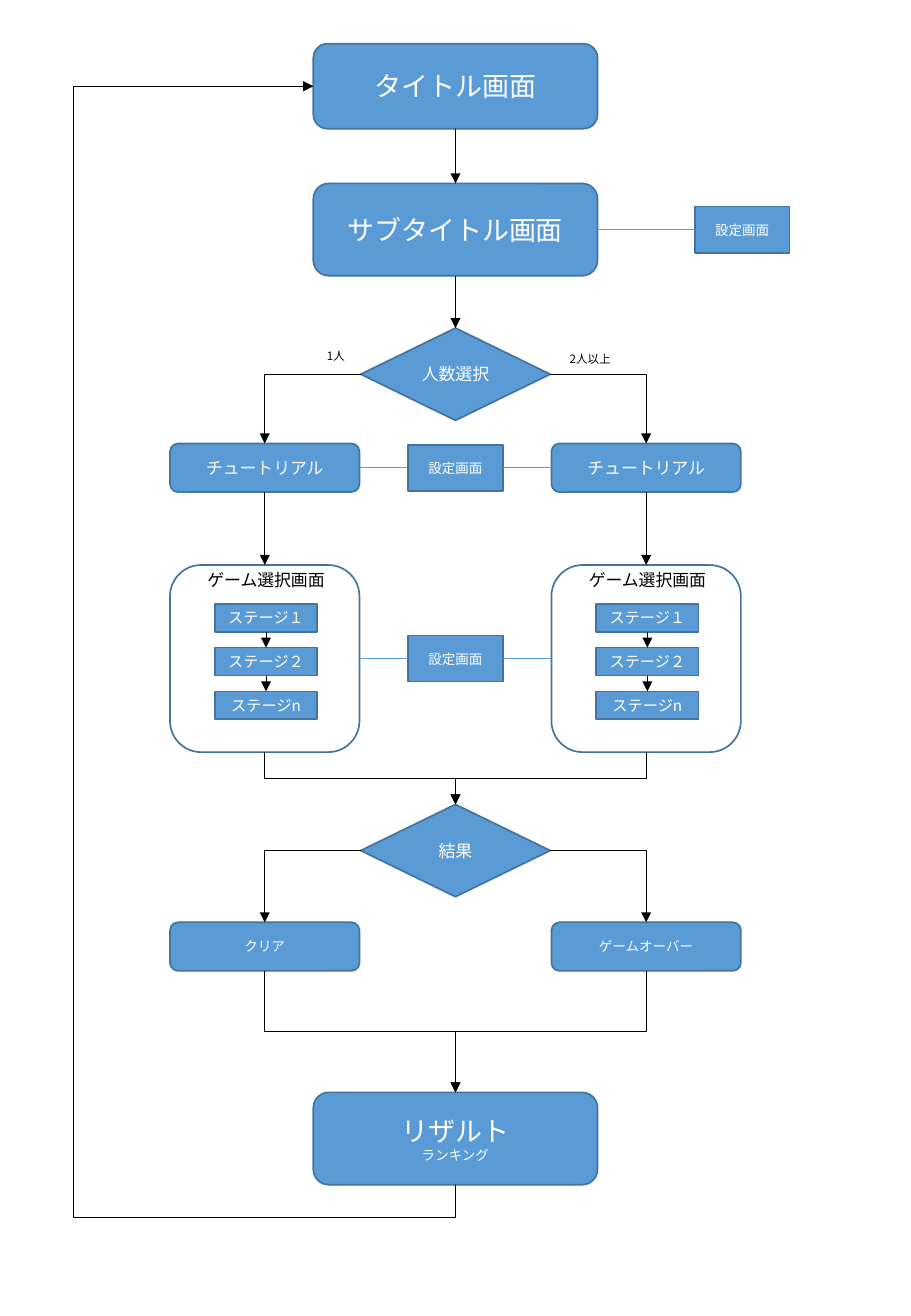
from lxml import etree
from pptx import Presentation
from pptx import util as u
from pptx.dml.color import RGBColor
from pptx.enum import lang, shapes, text
from pptx.oxml import ns

PX = u.Inches(1) // 100
FONT = "Noto Sans CJK JP"
BLUE = RGBColor(0x5B, 0x9B, 0xD5)
OUTLINE = RGBColor(0x43, 0x73, 0x9E)
WHITE = RGBColor(0xFF, 0xFF, 0xFF)
BLACK = RGBColor(0, 0, 0)

RECT = shapes.MSO_SHAPE.RECTANGLE
ROUNDED = shapes.MSO_SHAPE.ROUNDED_RECTANGLE
DECISION = shapes.MSO_SHAPE.FLOWCHART_DECISION
STRAIGHT = shapes.MSO_CONNECTOR.STRAIGHT
ELBOW = shapes.MSO_CONNECTOR.ELBOW
TOP, LEFT, BOTTOM, RIGHT = range(4)

COLUMN_LEFTS = (140, 454)
COLUMN_WIDTH = 156
STAGES = ("ステージ１", "ステージ２", "ステージn")


def px(*lengths):
    return [length * PX for length in lengths]


def write(frame, lines, color):
    """Fill a text frame with centred (wording, size) lines."""
    frame.word_wrap = True
    frame.margin_left = frame.margin_right = 7 * PX
    frame.margin_top = frame.margin_bottom = 4 * PX
    for index, (wording, size) in enumerate(lines):
        paragraph = frame.add_paragraph() if index else frame.paragraphs[0]
        paragraph.alignment = text.PP_ALIGN.CENTER
        run = paragraph.add_run()
        run.text = wording
        run.font.size = u.Pt(size)
        run.font.color.rgb = color
        run.font.name = FONT
        run.font.language_id = lang.MSO_LANGUAGE_ID.JAPANESE
        etree.SubElement(run.font._element, ns.qn("a:ea"), typeface=FONT)


def box(parent, outline, place, *lines, fill=BLUE):
    shape = parent.add_shape(outline, *px(*place))
    shape.shadow.inherit = False
    shape.fill.solid()
    shape.fill.fore_color.rgb = fill
    shape.line.color.rgb = OUTLINE
    shape.line.width = u.Pt(1)
    shape.text_frame.vertical_anchor = text.MSO_ANCHOR.MIDDLE
    write(shape.text_frame, lines, WHITE)
    return shape


def label(parent, place, wording, size):
    frame = parent.add_textbox(*px(*place)).text_frame
    write(frame, [(wording, size)], BLACK)
    frame.auto_size = text.MSO_AUTO_SIZE.SHAPE_TO_FIT_TEXT


def settings(parent, left, top):
    return box(parent, RECT, (left, top, 78, 38), ("設定画面", 8))


def side_middle(shape, side):
    across, down = {TOP: (1, 0), LEFT: (0, 1), BOTTOM: (1, 2), RIGHT: (2, 1)}[side]
    return shape.left + shape.width * across // 2, shape.top + shape.height * down // 2


def link(parent, start, start_side, end, end_side, route=STRAIGHT, color=BLACK):
    """Join two shapes; black links end in an arrowhead."""
    connector = parent.add_connector(
        route, *side_middle(start, start_side), *side_middle(end, end_side))
    connector.begin_connect(start, start_side)
    connector.end_connect(end, end_side)
    connector.line.color.rgb = color
    connector.line.width = u.Pt(0.5)
    if color == BLACK:
        etree.SubElement(connector.line._get_or_add_ln(), ns.qn("a:tailEnd"), type="triangle")
    etree.SubElement(connector._element.spPr, ns.qn("a:effectLst"))
    return connector


def set_bends(connector, preset, *adjustments):
    geometry = connector._element.spPr.find(ns.qn("a:prstGeom"))
    geometry.set("prst", preset)
    guides = geometry.find(ns.qn("a:avLst"))
    for number, share in enumerate(adjustments, 1):
        etree.SubElement(guides, ns.qn("a:gd"), name=f"adj{number}",
                         fmla=f"val {round(share * 100000)}")


def branch(parent, decision, side, target):
    """Arrow that leaves a decision sideways and drops onto its target."""
    set_bends(link(parent, decision, side, target, TOP, ELBOW), "bentConnector2")


def drop(parent, start, end, end_side, preset, *adjustments):
    """Elbow arrow that leaves downwards, so its geometry is turned by 90 degrees."""
    connector = link(parent, start, BOTTOM, end, end_side, ELBOW)
    set_bends(connector, preset, *adjustments)
    across = connector.end_x - connector.begin_x
    down = connector.end_y - connector.begin_y
    middle_x = (connector.begin_x + connector.end_x) // 2
    middle_y = (connector.begin_y + connector.end_y) // 2
    connector.width, connector.height = abs(down), abs(across)
    connector.left = middle_x - abs(down) // 2
    connector.top = middle_y - abs(across) // 2
    xfrm = connector._element.spPr.find(ns.qn("a:xfrm"))
    xfrm.set("rot", str((270 if across > 0 else 90) * 60000))
    xfrm.set("flipH", str(int((across > 0) != (down < 0))))
    xfrm.set("flipV", "0")


def game_panel(parent, left):
    """Group of a frame, its heading and the chain of stages; returns the frame."""
    group = parent.add_group_shape().shapes
    frame = box(group, ROUNDED, (left, 465, COLUMN_WIDTH, 154), fill=WHITE)
    label(group, (left + 1, 465, COLUMN_WIDTH, 27), "ゲーム選択画面", 10)
    stages = [box(group, RECT, (left + 37, 497 + 36 * step, 84, 23), (stage, 9))
              for step, stage in enumerate(STAGES)]
    for upper, lower in zip(stages, stages[1:]):
        link(group, upper, BOTTOM, lower, TOP)
    return frame


def main():
    deck = Presentation()
    deck.slide_width, deck.slide_height = px(750, 1083)
    flow = deck.slides.add_slide(deck.slide_layouts[6]).shapes

    title = box(flow, ROUNDED, (258, 36, 234, 70), ("タイトル画面", 16))
    subtitle = box(flow, ROUNDED, (258, 151, 234, 76), ("サブタイトル画面", 16))
    players = box(flow, DECISION, (297, 270, 156, 76), ("人数選択", 10))
    outcome = box(flow, DECISION, (297, 662, 156, 76), ("結果", 10))
    ranking = box(flow, ROUNDED, (258, 899, 234, 76), ("リザルト", 16), ("ランキング", 8))
    link(flow, title, BOTTOM, subtitle, TOP)
    link(flow, subtitle, BOTTOM, players, TOP)
    link(flow, subtitle, RIGHT, settings(flow, 572, 170), LEFT, color=BLUE)

    label(flow, (254, 283, 45, 21), "1人", 6.8)
    label(flow, (456, 286, 60, 21), "2人以上", 6.8)
    tutorial_settings = settings(flow, 336, 366)
    game_settings = settings(flow, 336, 523)

    columns = zip(COLUMN_LEFTS, (LEFT, RIGHT), (RIGHT, LEFT), ("クリア", "ゲームオーバー"))
    for left, outer, inner, ending_name in columns:
        tutorial = box(flow, ROUNDED, (left, 365, COLUMN_WIDTH, 40), ("チュートリアル", 10))
        panel = game_panel(flow, left)
        ending = box(flow, ROUNDED, (left, 759, COLUMN_WIDTH, 40), (ending_name, 8))
        branch(flow, players, outer, tutorial)
        link(flow, tutorial, BOTTOM, panel, TOP)
        link(flow, tutorial, inner, tutorial_settings, outer, color=BLUE)
        link(flow, panel, inner, game_settings, outer, color=BLUE)
        drop(flow, panel, outcome, TOP, "bentConnector3", 0.5)
        branch(flow, outcome, outer, ending)
        drop(flow, ending, ranking, TOP, "bentConnector3", 0.5)

    drop(flow, ranking, title, LEFT, "bentConnector4", -0.03, 2.69)
    deck.save("out.pptx")


if __name__ == "__main__":
    main()
